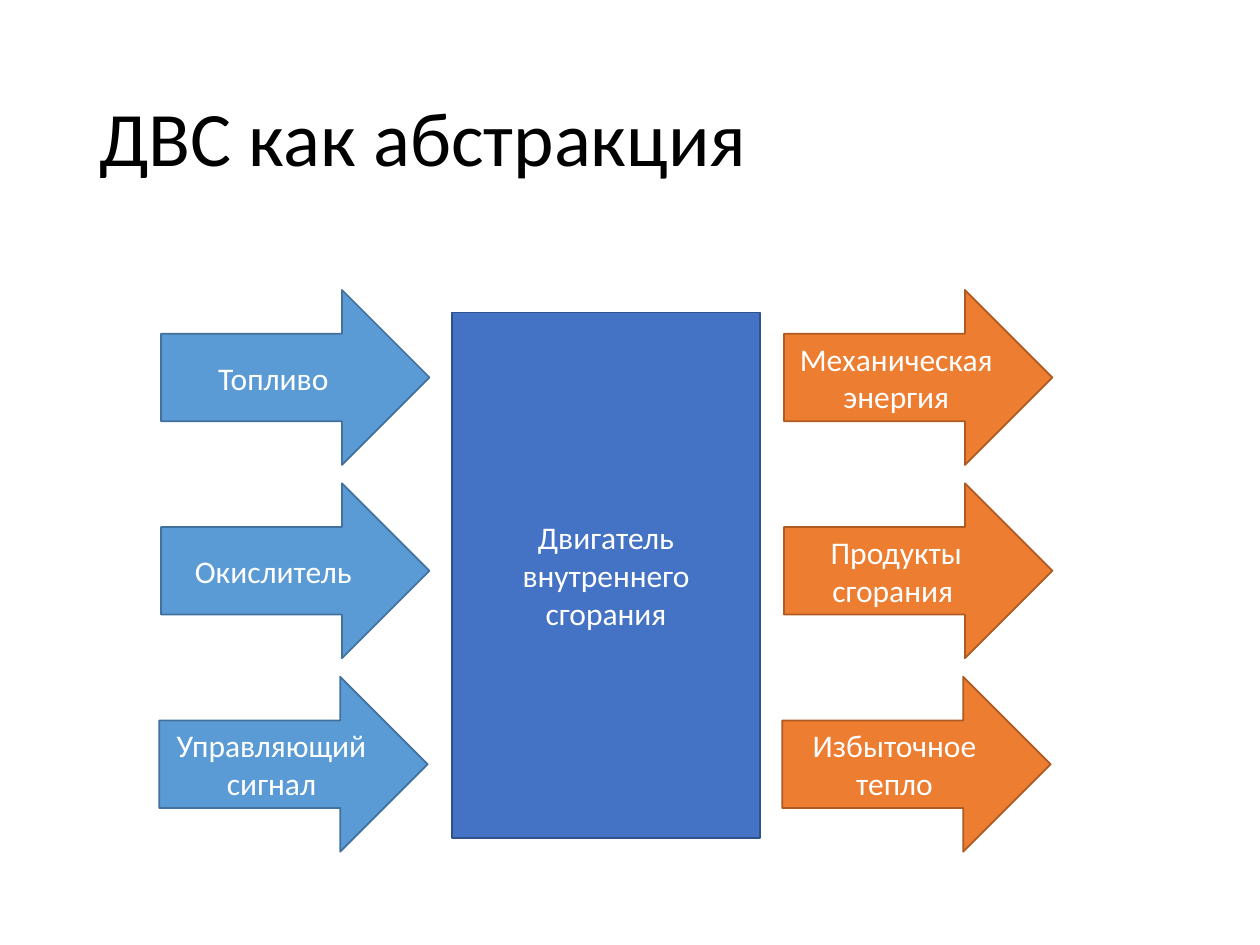
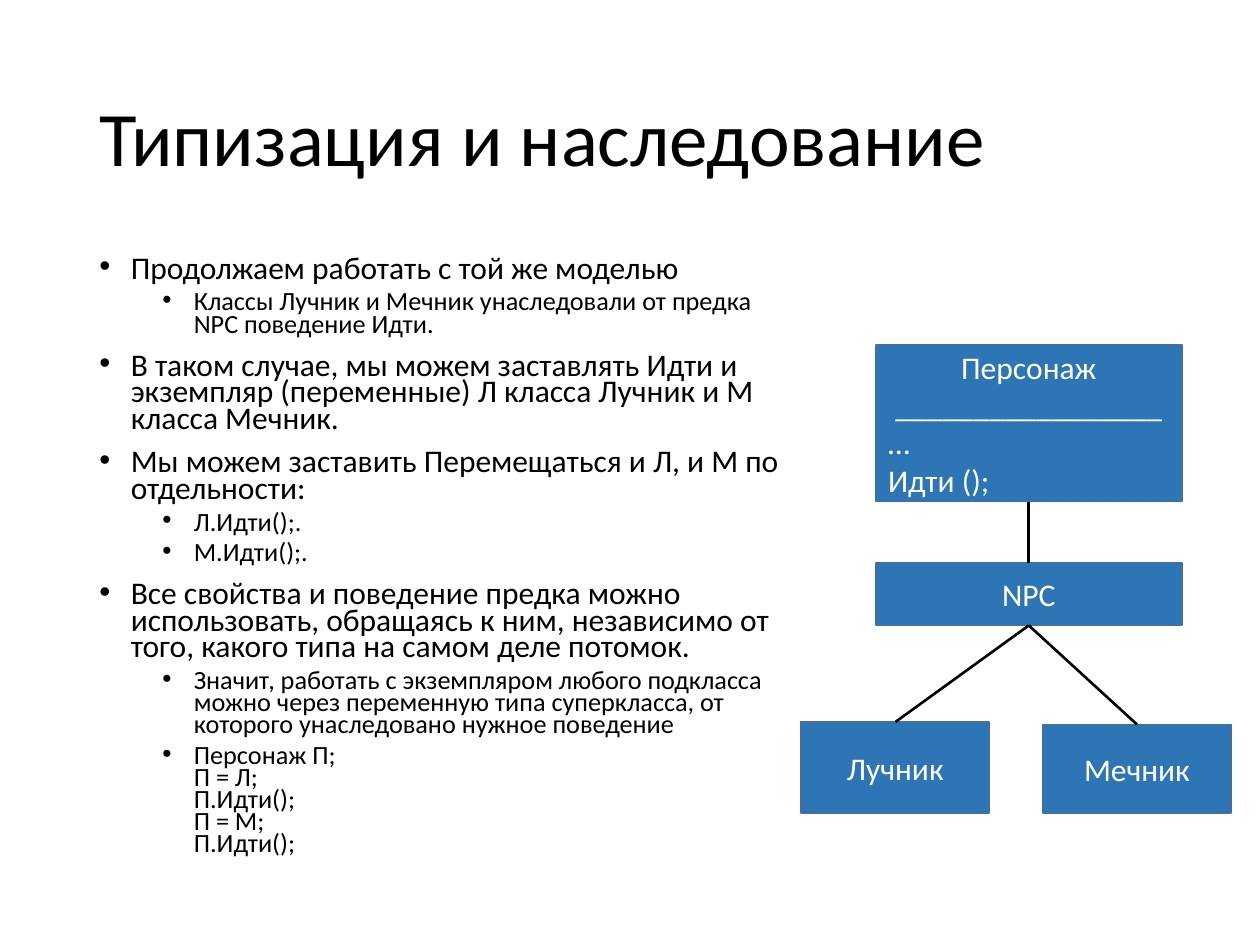
import copy

import pptx
import pptx.dml.color
import pptx.enum.shapes
import pptx.enum.text
import pptx.oxml.ns
import pptx.oxml.xmlchemy
import pptx.util
from lxml import etree

Pt = pptx.util.Pt
SHAPE = pptx.enum.shapes.MSO_SHAPE
ALIGN = pptx.enum.text.PP_ALIGN
ANCHOR = pptx.enum.text.MSO_ANCHOR
qn = pptx.oxml.ns.qn

BLACK, WHITE = "000000", "FFFFFF"
ENGINE = ("4472C4", "2F528F")  # fill, line
INPUT = ("5B9BD5", "41719C")
OUTPUT = ("ED7D31", "AE5A21")
CLASS_BOX = ("2E75B6", "41719C")
TOP, BOTTOM = 0, 2  # connection sites of a rectangle


def color(value):
    return pptx.dml.color.RGBColor.from_string(value)


def write(paragraph, text, size=18, font="Calibri", fill=BLACK,
          align=ALIGN.LEFT, spacing=None, before=0):
    """Fill a paragraph with formatted text; a newline is a line break."""
    paragraph.text = text.replace("\n", "\v")
    paragraph.alignment = align
    paragraph.space_before = Pt(before)
    if spacing:
        paragraph.line_spacing = spacing
    for run in paragraph.runs:
        run.font.size = Pt(size)
        run.font.name = font
        run.font.color.rgb = color(fill)
    # Line breaks take the run format, so that line heights stay even
    for line_break in paragraph._p.findall(qn("a:br")):
        line_break.append(copy.deepcopy(paragraph.runs[0]._r.rPr))


def add_bullet(paragraph, indent, hanging=18):
    properties = paragraph._p.get_or_add_pPr()
    properties.set("marL", str(Pt(indent)))
    properties.set("indent", str(-Pt(hanging)))
    etree.SubElement(properties, qn("a:buFont")).set("typeface", "Arial")
    etree.SubElement(properties, qn("a:buChar")).set("char", "•")


class Deck:
    def __init__(self):
        self.presentation = pptx.Presentation()
        self.presentation.slide_width = Pt(720)
        self.presentation.slide_height = Pt(540)
        self.slide = None

    def new_slide(self, title):
        layout = self.presentation.slide_layouts[6]
        self.slide = self.presentation.slides.add_slide(layout)
        frame = self.text_frame(49.7, 28.8, 621.4, 104.4)
        frame.vertical_anchor = ANCHOR.MIDDLE
        write(frame.paragraphs[0], title, size=44, spacing=0.9)

    def text_frame(self, left, top, width, height):
        box = self.slide.shapes.add_textbox(
            Pt(left), Pt(top), Pt(width), Pt(height))
        box.text_frame.word_wrap = True
        return box.text_frame

    def bullets(self, left, top, width, height, items):
        """Each item is a pair of level and text."""
        frame = self.text_frame(left, top, width, height)
        for index, (level, text) in enumerate(items):
            paragraph = frame.add_paragraph() if index else frame.paragraphs[0]
            paragraph.level = level
            add_bullet(paragraph, indent=18 + 36 * level)
            before = (10, 5)[level] if index else 0
            write(paragraph, text, size=(18, 15)[level], spacing=0.7,
                  before=before)

    def block(self, kind, left, top, width, height, colors, centered, plain=()):
        """Draw a filled shape with centred lines, then left-aligned ones."""
        shape = self.slide.shapes.add_shape(
            kind, Pt(left), Pt(top), Pt(width), Pt(height))
        shape.shadow.inherit = False
        fill, line = colors
        shape.fill.solid()
        shape.fill.fore_color.rgb = color(fill)
        shape.line.color.rgb = color(line)
        shape.line.width = Pt(1)
        frame = shape.text_frame
        frame.word_wrap = True
        frame.vertical_anchor = ANCHOR.MIDDLE
        lines = [(text, ALIGN.CENTER) for text in centered]
        lines += [(text, ALIGN.LEFT) for text in plain]
        for index, (text, align) in enumerate(lines):
            paragraph = frame.add_paragraph() if index else frame.paragraphs[0]
            write(paragraph, text, fill=WHITE, align=align)
        return shape

    def inherit_line(self, child, parent):
        """Join the top of a child box to the bottom of its parent."""
        connector = self.slide.shapes.add_connector(
            pptx.enum.shapes.MSO_CONNECTOR.STRAIGHT, 0, 0, 0, 0)
        connector.begin_connect(child, TOP)
        connector.end_connect(parent, BOTTOM)
        connector.line.color.rgb = color(BLACK)
        connector.line.width = Pt(1.5)
        etree.SubElement(connector._element.spPr, qn("a:effectLst"))


def engine_slide(deck):
    deck.new_slide("ДВС как абстракция")
    deck.block(SHAPE.RECTANGLE, 258.5, 178.6, 175.7, 300.2, ENGINE,
               ["Двигатель", "внутреннего сгорания"])

    # Columns of arrows: inputs on the left, outputs on the right
    columns = [
        (92, INPUT, ["Топливо", "Окислитель", "Управляющий сигнал"]),
        (448, OUTPUT, ["Механическая энергия", "Продукты сгорания ",
                       "Избыточное тепло"]),
    ]
    row_shifts = (0, 0, -1)
    for left, colors, labels in columns:
        for row, (label, shift) in enumerate(zip(labels, row_shifts)):
            deck.block(SHAPE.RIGHT_ARROW, left + shift, 165.7 + 110.5 * row,
                       153.4, 100, colors, [label])


def inheritance_slide(deck):
    deck.new_slide("Типизация и наследование")
    deck.bullets(49.7, 144, 408.2, 367.2, [
        (0, "Продолжаем работать с той же моделью"),
        (1, "Классы Лучник и Мечник унаследовали от предка NPC "
            "поведение Идти."),
        (0, "В таком случае, мы можем заставлять Идти и экземпляр "
            "(переменные) Л класса Лучник и М класса Мечник."),
        (0, "Мы можем заставить Перемещаться и Л, и М по отдельности:"),
        (1, "Л.Идти();."),
        (1, "М.Идти();."),
        (0, "Все свойства и поведение предка можно использовать, обращаясь "
            "к ним, независимо от того, какого типа на самом деле потомок."),
        (1, "Значит, работать с экземпляром любого подкласса можно через "
            "переменную типа суперкласса, от которого унаследовано нужное "
            "поведение"),
        (1, "Персонаж П;\nП = Л;\nП.Идти();\nП = М;\nП.Идти();"),
    ])

    # Class tree
    character = deck.block(SHAPE.RECTANGLE, 500.4, 197.3, 175, 89.3, CLASS_BOX,
                           ["Персонаж", "_" * 17], ["…", "Идти ();"])
    npc = deck.block(SHAPE.RECTANGLE, 500.4, 321.8, 175, 35.6, CLASS_BOX,
                     ["NPC"])
    archer = deck.block(SHAPE.RECTANGLE, 457.9, 412.6, 107.5, 52, CLASS_BOX,
                        ["Лучник"])
    swordsman = deck.block(SHAPE.RECTANGLE, 596, 414, 107.5, 50.6, CLASS_BOX,
                           ["Мечник"])
    for child, parent in ((npc, character), (archer, npc), (swordsman, npc)):
        deck.inherit_line(child, parent)


def main():
    deck = Deck()
    engine_slide(deck)
    inheritance_slide(deck)
    deck.presentation.save("out.pptx")


if __name__ == "__main__":
    main()
